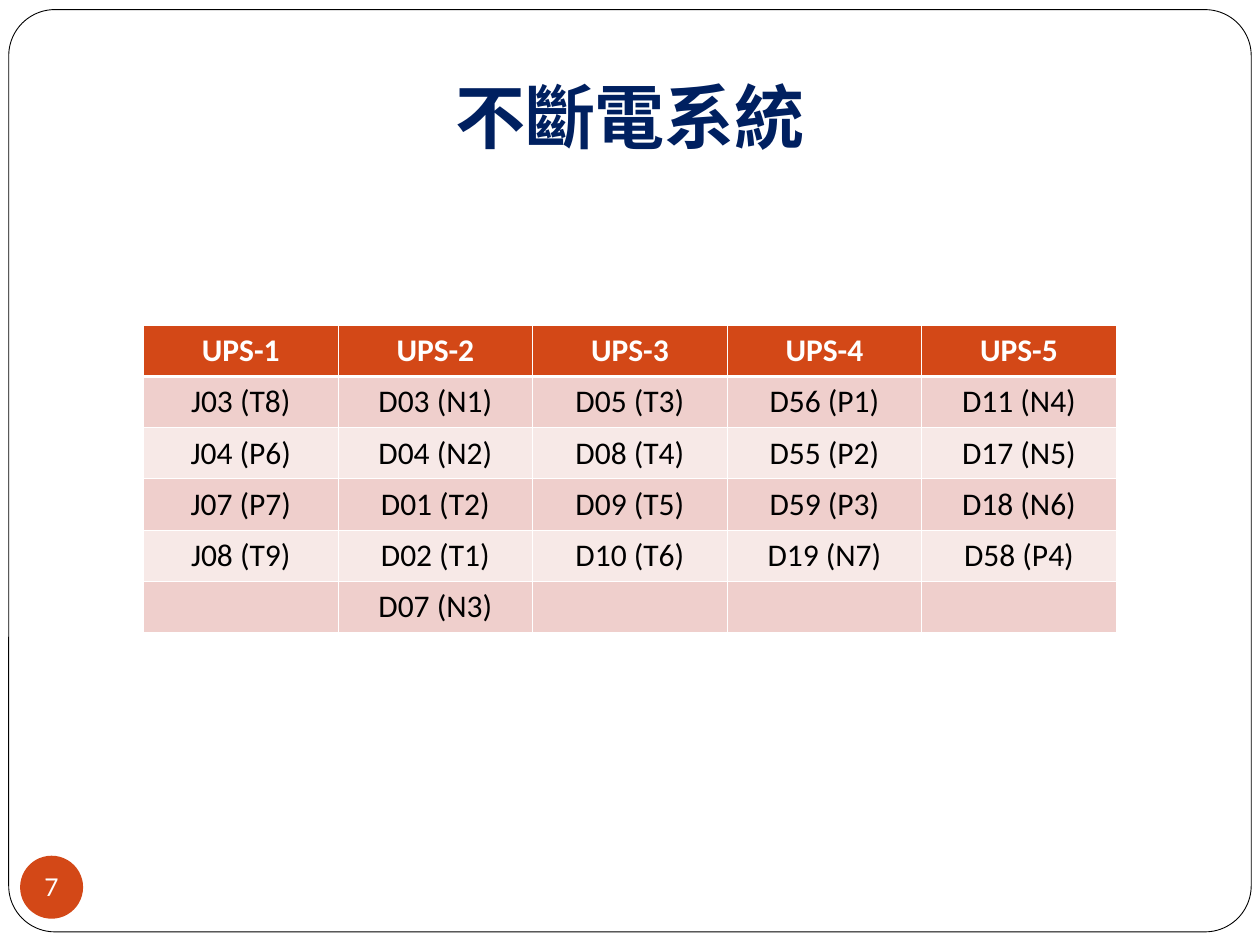
import pptx
import pptx.dml.color
import pptx.enum.shapes
import pptx.enum.text
import pptx.oxml
import pptx.oxml.ns
import pptx.util
from dataclasses import dataclass

Pt = pptx.util.Pt
MIDDLE = pptx.enum.text.MSO_ANCHOR.MIDDLE
Shape = pptx.enum.shapes.MSO_SHAPE


@dataclass(frozen=True)
class Theme:
    white: str = "FFFFFF"
    black: str = "000000"
    navy: str = "002060"
    accent: str = "D34817"
    bands: tuple = ("EFCFCC", "F7E9E7")
    title_size: int = 40
    table_size: int = 18
    number_size: int = 14


theme = Theme()


def write(frame, text, font_name, size, color, bold=False):
    """Fill a text frame with one centred, vertically centred line."""
    frame.text = text
    frame.vertical_anchor = MIDDLE
    paragraph = frame.paragraphs[0]
    paragraph.alignment = pptx.enum.text.PP_ALIGN.CENTER
    for run in paragraph.runs:
        run.font.name = font_name
        run.font.size = Pt(size)
        run.font.bold = bold
        run.font.color.rgb = pptx.dml.color.RGBColor.from_string(color)


def set_borders(cell, widths):
    """Draw white cell borders; widths are points for left, right, top, bottom."""
    properties = cell._tc.get_or_add_tcPr()
    for index, (side, width) in enumerate(zip("LRTB", widths)):
        properties.insert(index, pptx.oxml.parse_xml(
            f'<a:ln{side} {pptx.oxml.ns.nsdecls("a")} w="{int(Pt(width))}">'
            f'<a:solidFill><a:srgbClr val="{theme.white}"/></a:solidFill></a:ln{side}>'))


deck = pptx.Presentation()
deck.slide_width, deck.slide_height = Pt(720), Pt(540)
slide = deck.slides.add_slide(deck.slide_layouts[5])

# Page frame, behind the title
page_frame = slide.shapes.add_shape(
    Shape.ROUNDED_RECTANGLE, Pt(5), Pt(5.5), Pt(710), Pt(527))
page_frame.adjustments[0] = 0.05
page_frame.shadow.inherit = False
page_frame.fill.solid()
page_frame.fill.fore_color.rgb = pptx.dml.color.RGBColor.from_string(theme.white)
page_frame.line.color.rgb = pptx.dml.color.RGBColor.from_string(theme.black)
page_frame.line.width = Pt(0.5)
slide.shapes._spTree.insert(2, page_frame._element)

# Title
title = slide.shapes.title
title.left, title.top, title.width, title.height = Pt(54), Pt(37.5), Pt(612), Pt(57)
write(title.text_frame, "不斷電系統", "Noto Sans CJK SC", theme.title_size, theme.navy, True)
for run in title.text_frame.paragraphs[0].runs:
    run.font._element.append(pptx.oxml.parse_xml(
        f'<a:ea {pptx.oxml.ns.nsdecls("a")} typeface="Noto Sans CJK SC"/>'))

# Slide number
page_number = slide.shapes.add_shape(Shape.OVAL, Pt(11.5), Pt(489), Pt(36), Pt(36))
page_number.shadow.inherit = False
page_number.fill.solid()
page_number.fill.fore_color.rgb = pptx.dml.color.RGBColor.from_string(theme.accent)
page_number.line.fill.background()
number_frame = page_number.text_frame
number_frame.margin_left = number_frame.margin_right = 0
number_frame.margin_top = number_frame.margin_bottom = 0
number_frame.word_wrap = False
write(number_frame, "7", "Lato", theme.number_size, theme.white)

# Racks fed by each UPS
ups_rows = [
    ["UPS-1", "UPS-2", "UPS-3", "UPS-4", "UPS-5"],
    ["J03 (T8)", "D03 (N1)", "D05 (T3)", "D56 (P1)", "D11 (N4)"],
    ["J04 (P6)", "D04 (N2)", "D08 (T4)", "D55 (P2)", "D17 (N5)"],
    ["J07 (P7)", "D01 (T2)", "D09 (T5)", "D59 (P3)", "D18 (N6)"],
    ["J08 (T9)", "D02 (T1)", "D10 (T6)", "D19 (N7)", "D58 (P4)"],
    ["", "D07 (N3)", "", "", ""],
]
thin, thick = 0.45, 1.47
ups_table = slide.shapes.add_table(
    len(ups_rows), len(ups_rows[0]), Pt(82), Pt(186), Pt(556), Pt(175)).table
for row_index, racks in enumerate(ups_rows):
    is_header = row_index == 0
    fill = theme.accent if is_header else theme.bands[(row_index - 1) % 2]
    color = theme.white if is_header else theme.black
    top = thick if row_index == 1 else thin
    bottom = thick if is_header else thin
    for column_index, rack in enumerate(racks):
        cell = ups_table.cell(row_index, column_index)
        cell.fill.solid()
        cell.fill.fore_color.rgb = pptx.dml.color.RGBColor.from_string(fill)
        cell.vertical_anchor = MIDDLE
        set_borders(cell, (thin, thin, top, bottom))
        write(cell.text_frame, rack, "Calibri", theme.table_size, color, is_header)

deck.save("out.pptx")
